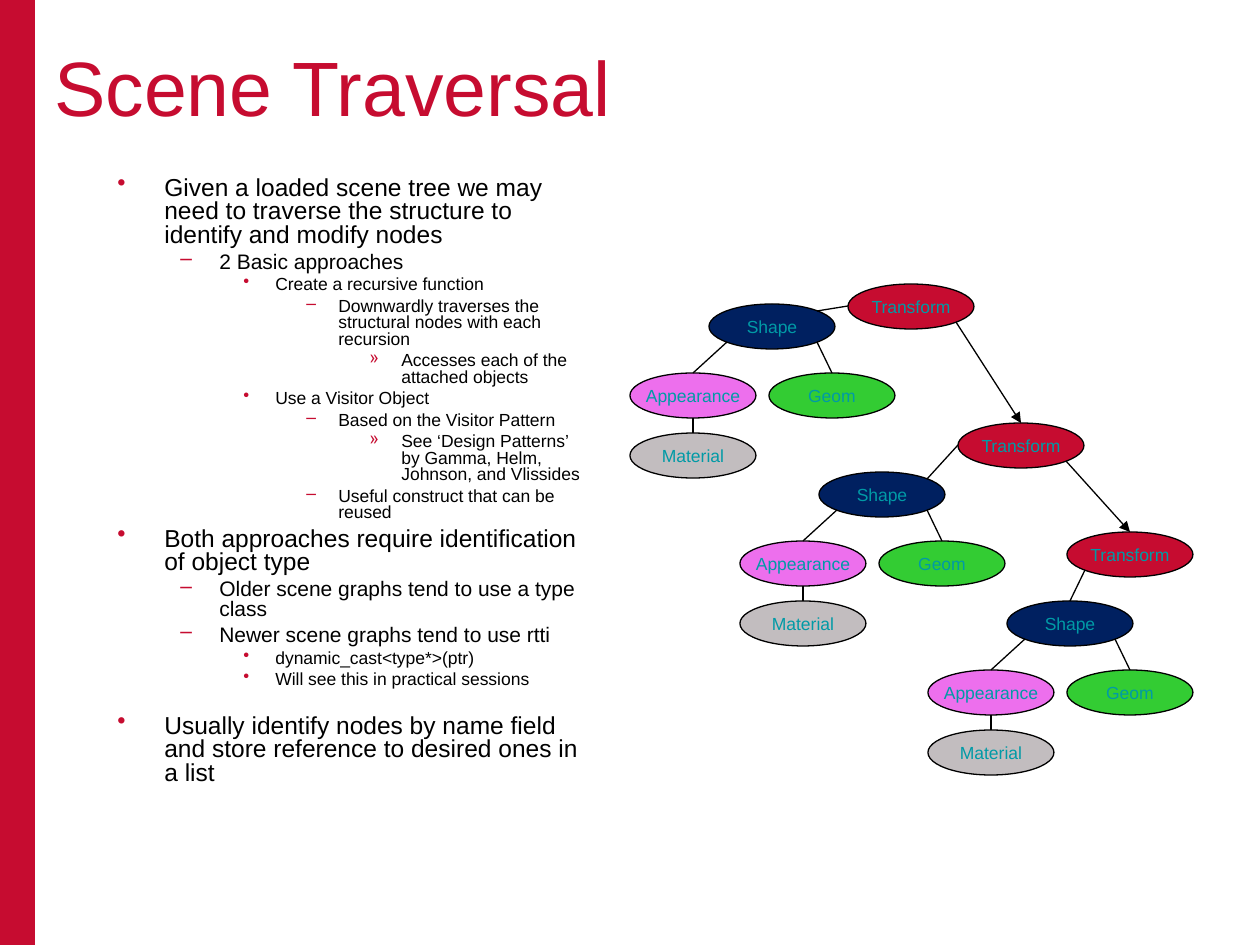
import pptx
import pptx.util
import pptx.dml.color
import pptx.enum.shapes
import pptx.enum.text
import pptx.oxml.ns
import lxml.etree

THEME = {
    "font": "Arial",
    "accent": "C60C30",
    "body": "000000",
    "outline": "000000",
    "label": "009AA6",
    "Transform": "C60C30",
    "Shape": "002060",
    "Appearance": "ED6FED",
    "Material": "C2BDBF",
    "Geom": "33CC33",
    "title_size": 44,
    "label_size": 10,
    "outline_width": 0.75,
}
PX = 914400 / 126
qn = pptx.oxml.ns.qn
ALIGN = pptx.enum.text.PP_ALIGN
ANCHOR = pptx.enum.text.MSO_ANCHOR
SHAPE = pptx.enum.shapes.MSO_SHAPE


def px(*lengths):
    return [round(length * PX) for length in lengths]


def write(paragraph, text, size, color):
    run = paragraph.add_run()
    run.text = text
    run.font.name = THEME["font"]
    run.font.size = pptx.util.Pt(size)
    run.font.color.rgb = pptx.dml.color.RGBColor.from_string(THEME[color])


deck = pptx.Presentation()
deck.slide_width, deck.slide_height = px(1260, 945)
slide = deck.slides.add_slide(deck.slide_layouts[6])
shapes = slide.shapes

side_bar = shapes.add_shape(SHAPE.RECTANGLE, *px(0, 0, 35, 945))
side_bar.shadow.inherit = False
side_bar.fill.solid()
side_bar.fill.fore_color.rgb = pptx.dml.color.RGBColor.from_string(THEME["accent"])
side_bar.line.fill.background()

title = shapes.add_textbox(*px(42, 33, 1176, 105)).text_frame
title.word_wrap = True
title.vertical_anchor = ANCHOR.BOTTOM
write(title.paragraphs[0], "Scene Traversal", THEME["title_size"], "accent")

# level: bullet, left margin px, hanging px, size pt, space before pt
LEVELS = [
    ("•", 47, 47, 14, 3.5),
    ("–", 102, 39, 12, 3),
    ("•", 158, 32, 10, 2.5),
    ("–", 221, 32, 10, 2.5),
    ("»", 284, 32, 10, 2.5),
]
SECTION_GAP = 11.7
POINTS = [
    (0, "Given a loaded scene tree we may need to traverse the structure to identify and modify nodes"),
    (1, "2 Basic approaches"),
    (2, "Create a recursive function"),
    (3, "Downwardly traverses the structural nodes with each recursion"),
    (4, "Accesses each of the attached objects"),
    (2, "Use a Visitor Object"),
    (3, "Based on the Visitor Pattern"),
    (4, "See ‘Design Patterns’ by Gamma, Helm, Johnson, and Vlissides"),
    (3, "Useful construct that can be reused"),
    (0, "Both approaches require identification of object type"),
    (1, "Older scene graphs tend to use a type class"),
    (1, "Newer scene graphs tend to use rtti"),
    (2, "dynamic_cast<type*>(ptr)"),
    (2, "Will see this in practical sessions"),
    (0, "Usually identify nodes by name field and store reference to desired ones in a list"),
]
outline = shapes.add_textbox(*px(105, 171, 494, 639)).text_frame
outline.word_wrap = True
for index, (level, text) in enumerate(POINTS):
    bullet, margin, hanging, size, gap = LEVELS[level]
    point = outline.add_paragraph() if index else outline.paragraphs[0]
    point.level = level
    properties = point._p.get_or_add_pPr()
    properties.set("marL", str(px(margin)[0]))
    properties.set("indent", str(px(-hanging)[0]))
    bullet_color = lxml.etree.SubElement(properties, qn("a:buClr"))
    lxml.etree.SubElement(bullet_color, qn("a:srgbClr"), val=THEME["accent"])
    lxml.etree.SubElement(properties, qn("a:buChar"), char=bullet)
    point.line_spacing = 0.8
    if index:
        before_last = SECTION_GAP if index == len(POINTS) - 1 else 0
        point.space_before = pptx.util.Pt(gap + before_last)
    write(point, text, size, "body")

NODE_W, NODE_H = 126, 45
LEFT, TOP_RIGHT = (0, 22), (108, 7)
BOTTOM_LEFT, BOTTOM, BOTTOM_RIGHT = (18, 38), (63, 45), (108, 38)
TOP = (63, 0)
TRANSFORMS = [(848, 284), (958, 423), (1067, 532)]
SHAPES = [(709, 304), (819, 472), (1007, 601)]
BRANCH = {"Shape": (0, 0), "Appearance": (-79, 69), "Material": (-79, 129), "Geom": (60, 69)}

places = {}
for tree in range(3):
    places["Transform", tree] = TRANSFORMS[tree]
    for kind, (dx, dy) in BRANCH.items():
        places[kind, tree] = (SHAPES[tree][0] + dx, SHAPES[tree][1] + dy)

nodes = {}
for (kind, tree), (x, y) in places.items():
    node = shapes.add_shape(SHAPE.OVAL, *px(x, y, NODE_W, NODE_H))
    node.shadow.inherit = False
    node.fill.solid()
    node.fill.fore_color.rgb = pptx.dml.color.RGBColor.from_string(THEME[kind])
    node.line.color.rgb = pptx.dml.color.RGBColor.from_string(THEME["outline"])
    node.line.width = pptx.util.Pt(THEME["outline_width"])
    label = node.text_frame
    label.word_wrap = False
    label.vertical_anchor = ANCHOR.MIDDLE
    label.paragraphs[0].alignment = ALIGN.CENTER
    write(label.paragraphs[0], kind, THEME["label_size"], "label")
    nodes[kind, tree] = node

edges = []
for tree in range(3):
    if tree < 2:
        edges.append((("Transform", tree), BOTTOM_RIGHT, ("Transform", tree + 1), TOP))
        edges.append((("Transform", tree), LEFT, ("Shape", tree), TOP_RIGHT))
    else:
        edges.append((("Transform", tree), BOTTOM_LEFT, ("Shape", tree), TOP))
    edges += [
        (("Shape", tree), BOTTOM_RIGHT, ("Geom", tree), TOP),
        (("Shape", tree), BOTTOM_LEFT, ("Appearance", tree), TOP),
        (("Appearance", tree), BOTTOM, ("Material", tree), TOP),
    ]

for parent, leave, child, arrive in edges:
    start = [a + b for a, b in zip(places[parent], leave)]
    finish = [a + b for a, b in zip(places[child], arrive)]
    edge = shapes.add_connector(pptx.enum.shapes.MSO_CONNECTOR.STRAIGHT, *px(*start, *finish))
    if arrive == TOP:
        edge.end_connect(nodes[child], 0)
    edge.line.color.rgb = pptx.dml.color.RGBColor.from_string(THEME["outline"])
    edge.line.width = pptx.util.Pt(THEME["outline_width"])
    if child[0] == "Transform":
        lxml.etree.SubElement(edge.line._get_or_add_ln(), qn("a:tailEnd"), type="triangle")
    lxml.etree.SubElement(edge._element.spPr, qn("a:effectLst"))

deck.save("out.pptx")
